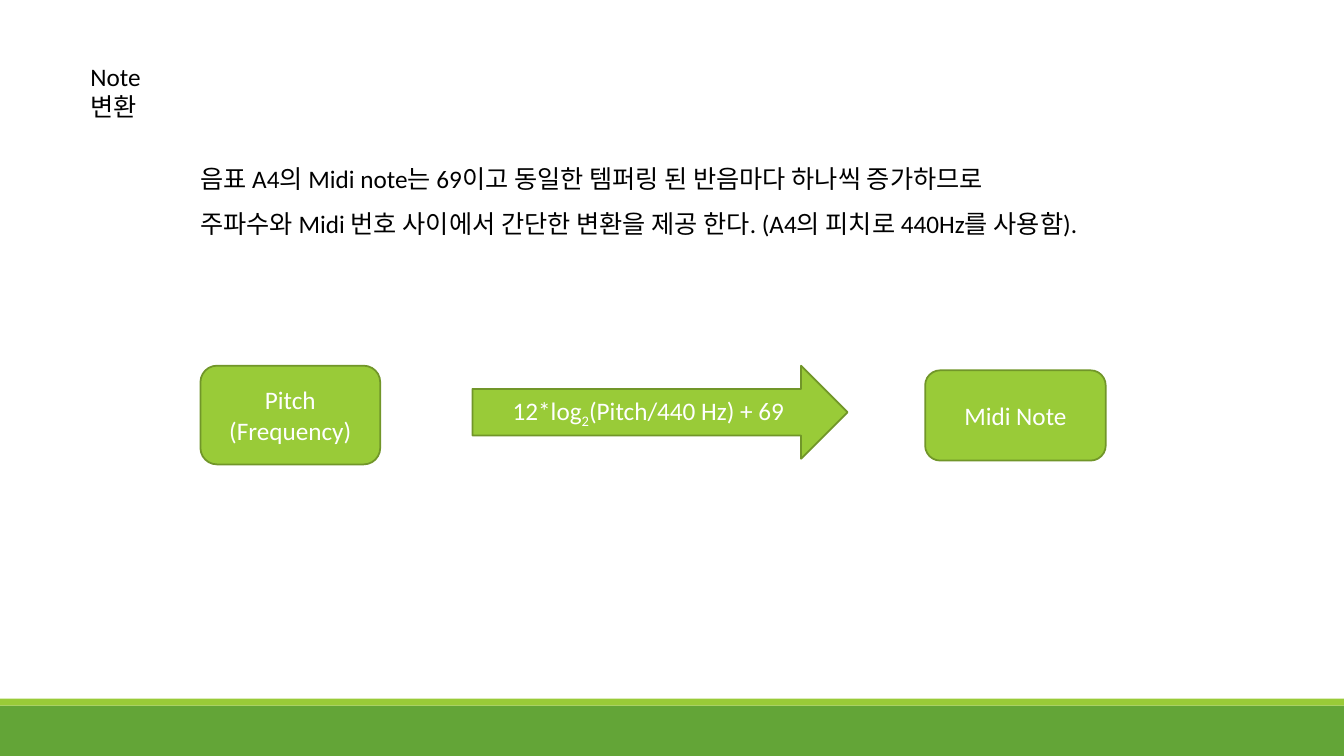
from dataclasses import dataclass

from lxml.etree import SubElement
from pptx import Presentation
from pptx.dml.color import RGBColor
from pptx.enum.shapes import MSO_SHAPE as Preset
from pptx.enum.text import MSO_ANCHOR as Anchor, MSO_AUTO_SIZE as AutoSize, PP_ALIGN as Align
from pptx.oxml.ns import qn
from pptx.util import Pt

COLORS = {
    "lime": "99CB38",
    "outline": "719629",
    "green": "63A537",
    "black": "000000",
    "white": "FFFFFF",
}
FONT = "Calibri"
WIDTH, HEIGHT = 960, 540
FOOTER_TOP, STRIPE_HEIGHT = 504, 5


@dataclass
class Block:
    preset: Preset
    left: float
    top: float
    width: float
    height: float
    lines: tuple = ()
    fill: str = "lime"
    outline: str | None = "outline"


def color(name: str) -> RGBColor:
    return RGBColor.from_string(COLORS[name])


def place(shape, left: float, top: float, width: float, height: float) -> None:
    shape.left, shape.top = Pt(left), Pt(top)
    shape.width, shape.height = Pt(width), Pt(height)


def write(shape, lines, *, ink="black", size=18, align=Align.LEFT,
          anchor=Anchor.TOP, spacing=1.0) -> None:
    frame = shape.text_frame
    frame.word_wrap = True
    frame.auto_size = AutoSize.NONE
    frame.vertical_anchor = anchor
    for index, line in enumerate(lines):
        paragraph = frame.paragraphs[0] if index == 0 else frame.add_paragraph()
        paragraph.alignment = align
        paragraph.line_spacing = spacing
        paragraph.space_before = Pt(0)
        properties = paragraph._p.get_or_add_pPr()
        properties.set("marL", "0")
        properties.set("indent", "0")
        SubElement(properties, qn("a:buNone"))
        for position, text in enumerate(line.split("_")):
            run = paragraph.add_run()
            run.text = text
            run.font.name = FONT
            run.font.size = Pt(size)
            run.font.color.rgb = color(ink)
            if position % 2:
                run._r.get_or_add_rPr().set("baseline", "-25000")


def draw(slide, block: Block) -> None:
    shape = slide.shapes.add_shape(
        block.preset, Pt(block.left), Pt(block.top), Pt(block.width), Pt(block.height))
    shape.shadow.inherit = False
    shape.fill.solid()
    shape.fill.fore_color.rgb = color(block.fill)
    if block.outline:
        shape.line.color.rgb = color(block.outline)
        shape.line.width = Pt(1.25)
    else:
        shape.line.fill.background()
    if block.lines:
        write(shape, block.lines, ink="white", align=Align.CENTER, anchor=Anchor.MIDDLE)


BLOCKS = [
    Block(Preset.RECTANGLE, 0, FOOTER_TOP, WIDTH, HEIGHT - FOOTER_TOP,
          fill="green", outline=None),
    Block(Preset.RECTANGLE, 0, FOOTER_TOP - STRIPE_HEIGHT, WIDTH, STRIPE_HEIGHT, outline=None),
    Block(Preset.ROUNDED_RECTANGLE, 143.2, 261.2, 128.4, 70.5, ("Pitch", "(Frequency)")),
    Block(Preset.RIGHT_ARROW, 337.5, 261.2, 268, 66.5,
          ("12*log_2_(Pitch/440\u00a0Hz)\u00a0+\u00a069",)),
    Block(Preset.ROUNDED_RECTANGLE, 660.8, 264.5, 129, 64.5, ("Midi Note",)),
]

presentation = Presentation()
presentation.slide_width, presentation.slide_height = Pt(WIDTH), Pt(HEIGHT)
slide = presentation.slides.add_slide(presentation.slide_layouts[1])

title, body = slide.placeholders
place(title, 57.4, 40.3, 80, 52)
write(title, ["Note 변환"])
place(body, 135.8, 102.2, 720, 73)
write(body, [
    "음표 A4의 Midi note는 69이고 동일한 템퍼링 된 반음마다 하나씩 증가하므로",
    "주파수와 Midi 번호 사이에서 간단한 변환을 제공 한다. (A4의 피치로 440Hz를 사용함).",
], spacing=1.5)

for block in BLOCKS:
    draw(slide, block)

presentation.save("out.pptx")
